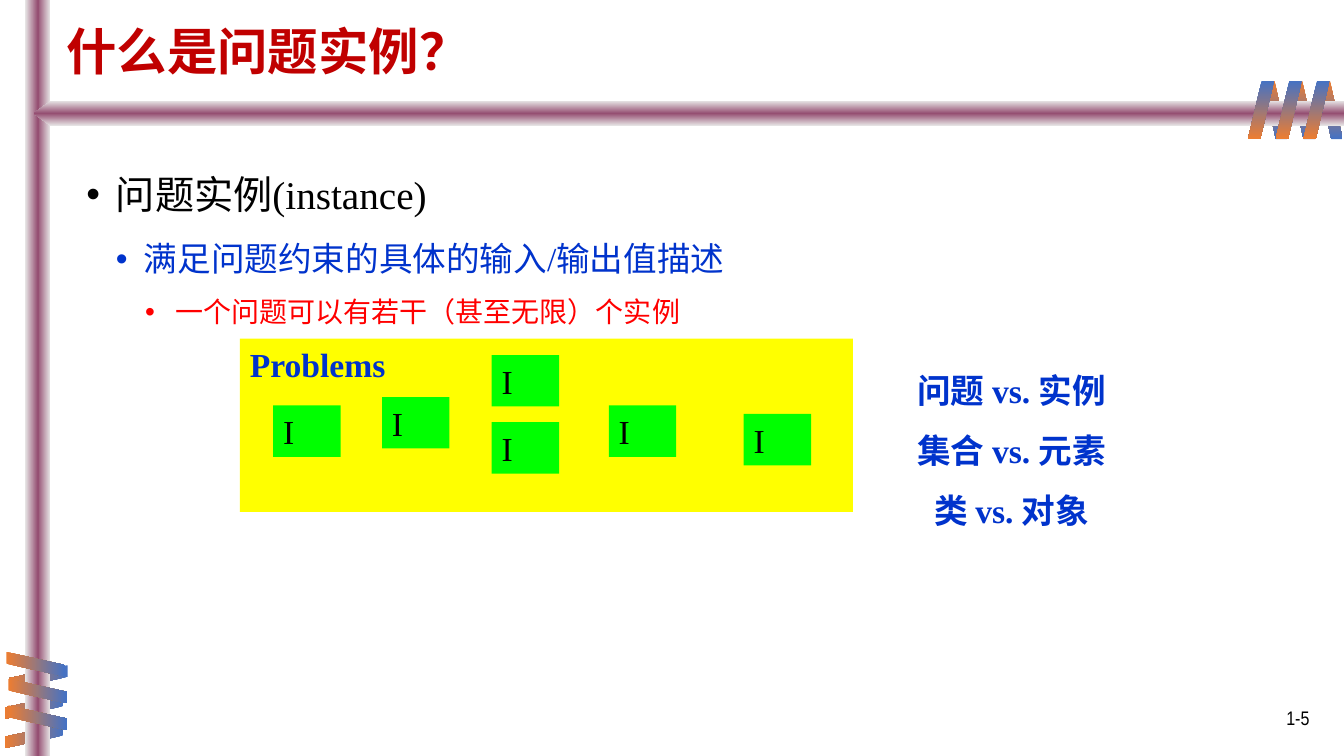
"""Builds the slide that explains what a problem instance is."""
from lxml.etree import SubElement
from pptx import Presentation
from pptx.dml.color import RGBColor
from pptx.enum.shapes import MSO_SHAPE
from pptx.enum.text import MSO_ANCHOR, PP_ALIGN
from pptx.oxml.ns import qn
from pptx.util import Pt

BLUE, ORANGE, GREY, PLUM = "4472C4", "ED7D31", "E7E6E6", "954F72"
INK, RED, TITLE_RED, TEXT_BLUE = "000000", "FF0000", "C00000", "0033CC"
SERIF, CJK = "Times New Roman", "Noto Sans CJK SC"


def add_shape(kind, box, colors, angle=0, rotation=0, flip=False, adjust=None):
    shape = slide.shapes.add_shape(kind, *[Pt(length) for length in box])
    shape.shadow.inherit = False
    shape.line.fill.background()
    shape.rotation = rotation
    if adjust is not None:
        shape.adjustments[0] = adjust
    properties = shape._element.spPr
    if flip:
        properties.find(qn("a:xfrm")).set("flipH", "1")
    if len(colors) == 1:
        shape.fill.solid()
        shape.fill.fore_color.rgb = RGBColor.from_string(colors[0])
        return shape
    shape.fill.gradient()
    gradient = properties.find(qn("a:gradFill"))
    gradient.set("rotWithShape", "0")
    for child in list(gradient):
        gradient.remove(child)
    stops = SubElement(gradient, qn("a:gsLst"))
    for index, color in enumerate(colors):
        stop = SubElement(stops, qn("a:gs"), pos=str(index * 100000 // (len(colors) - 1)))
        SubElement(stop, qn("a:srgbClr"), val=color)
    SubElement(gradient, qn("a:lin"), ang=str(angle * 60000), scaled="0")
    return shape


def write(shape, lines, size, color, font=SERIF, bold=False, align=PP_ALIGN.LEFT,
          spacing=None, anchor=MSO_ANCHOR.TOP):
    frame = shape.text_frame
    frame.word_wrap = True
    frame.vertical_anchor = anchor
    for index, line in enumerate(lines):
        paragraph = frame.paragraphs[0] if index == 0 else frame.add_paragraph()
        paragraph.alignment = align
        if spacing:
            paragraph.line_spacing = Pt(spacing)
        run = paragraph.add_run()
        run.text = line
        formats = {"size": Pt(size), "name": font, "bold": bold}
        for name, value in formats.items():
            setattr(run.font, name, value)
        run.font.color.rgb = RGBColor.from_string(color)
        SubElement(run._r.get_or_add_rPr(), qn("a:ea"), typeface=CJK)


presentation = Presentation()
presentation.slide_width, presentation.slide_height = Pt(960), Pt(540)
slide = presentation.slides.add_slide(presentation.slide_layouts[6])

for index, left in enumerate((18.7, 15.8, 15.8)):
    add_shape(MSO_SHAPE.PARALLELOGRAM, (left, 463 + index * 20.9, 17.3, 41.8),
              (BLUE, ORANGE), 0, 90, True, 0.53)
for index in range(3):
    add_shape(MSO_SHAPE.PARALLELOGRAM, (941.8 - index * 19.8, 57.6, 17.3, 41.8),
              (ORANGE, BLUE), 90, 180, True, 0.53)

add_shape(MSO_SHAPE.RECTANGLE, (18, 0, 18, 540), (GREY, PLUM, GREY))
add_shape(MSO_SHAPE.PENTAGON, (24, 72, 936, 18), (GREY, PLUM, GREY), 90, 0, True, 0.68)

for index in range(3):
    add_shape(MSO_SHAPE.PARALLELOGRAM, (931 - index * 19.8, 57.6, 18.7, 41.8),
              (BLUE, ORANGE), 90, 0, False, 0.53)
for index, left in enumerate((16.6, 18, 18)):
    add_shape(MSO_SHAPE.PARALLELOGRAM, (left, 453.6 + index * 19.1, 17.6, 41.8),
              (ORANGE, BLUE), 0, 270, False, 0.53)

page_number = slide.shapes.add_textbox(Pt(726.5), Pt(500.4), Pt(216), Pt(28.8))
write(page_number, ["1-5"], 14, INK, "Arial Narrow", align=PP_ALIGN.RIGHT)

title = slide.shapes.add_textbox(Pt(40.3), Pt(12.2), Pt(756), Pt(54))
write(title, ["什么是问题实例？"], 36, TITLE_RED, CJK, True, spacing=42)

body = slide.shapes.add_textbox(Pt(54.7), Pt(100), Pt(881.3), Pt(386))
write(body, ["问题实例(instance)", "满足问题约束的具体的输入/输出值描述",
             "一个问题可以有若干（甚至无限）个实例"], 28, INK)
levels = [(28, INK, 52, 21, 21), (24, TEXT_BLUE, 43.5, 41, 20), (20, RED, 35.5, 63.4, 21.6)]
for level, (paragraph, style) in enumerate(zip(body.text_frame.paragraphs, levels)):
    size, color, spacing, margin, hanging = style
    paragraph.level = level
    paragraph.line_spacing = Pt(spacing)
    properties = paragraph._p.get_or_add_pPr()
    properties.set("marL", str(Pt(margin)))
    properties.set("indent", str(-Pt(hanging)))
    SubElement(properties, qn("a:buFont"), typeface="Arial")
    SubElement(properties, qn("a:buChar"), char="•")
    font = paragraph.runs[0].font
    font.size = Pt(size)
    font.color.rgb = RGBColor.from_string(color)

problems = add_shape(MSO_SHAPE.RECTANGLE, (171.4, 241.9, 437.8, 123.8), ("FFFF00",))
write(problems, ["Problems"], 24, TEXT_BLUE, bold=True)

instance_corners = [(195.1, 289.6), (272.9, 283.6), (351.2, 253.6),
                    (434.9, 289.6), (531.2, 295.7), (351.2, 301.6)]
for left, top in instance_corners:
    instance = add_shape(MSO_SHAPE.RECTANGLE, (left, top, 48.2, 36.7), ("00FF00",))
    write(instance, ["I"], 24, INK, anchor=MSO_ANCHOR.MIDDLE)

comparison = slide.shapes.add_textbox(Pt(646.6), Pt(246.5), Pt(152), Pt(132.5))
write(comparison, ["问题 vs. 实例", "集合 vs. 元素", "类 vs. 对象"], 24, TEXT_BLUE,
      bold=True, align=PP_ALIGN.CENTER, spacing=43)

presentation.save("out.pptx")
